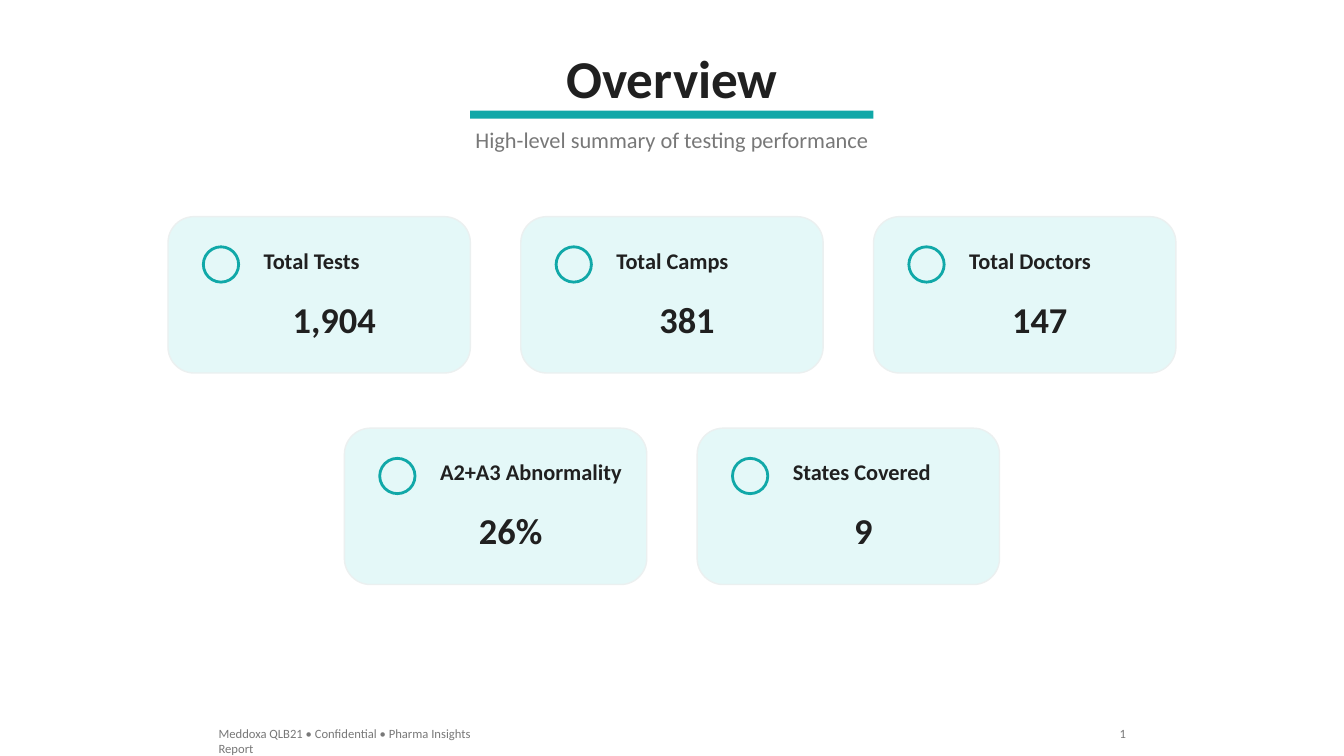
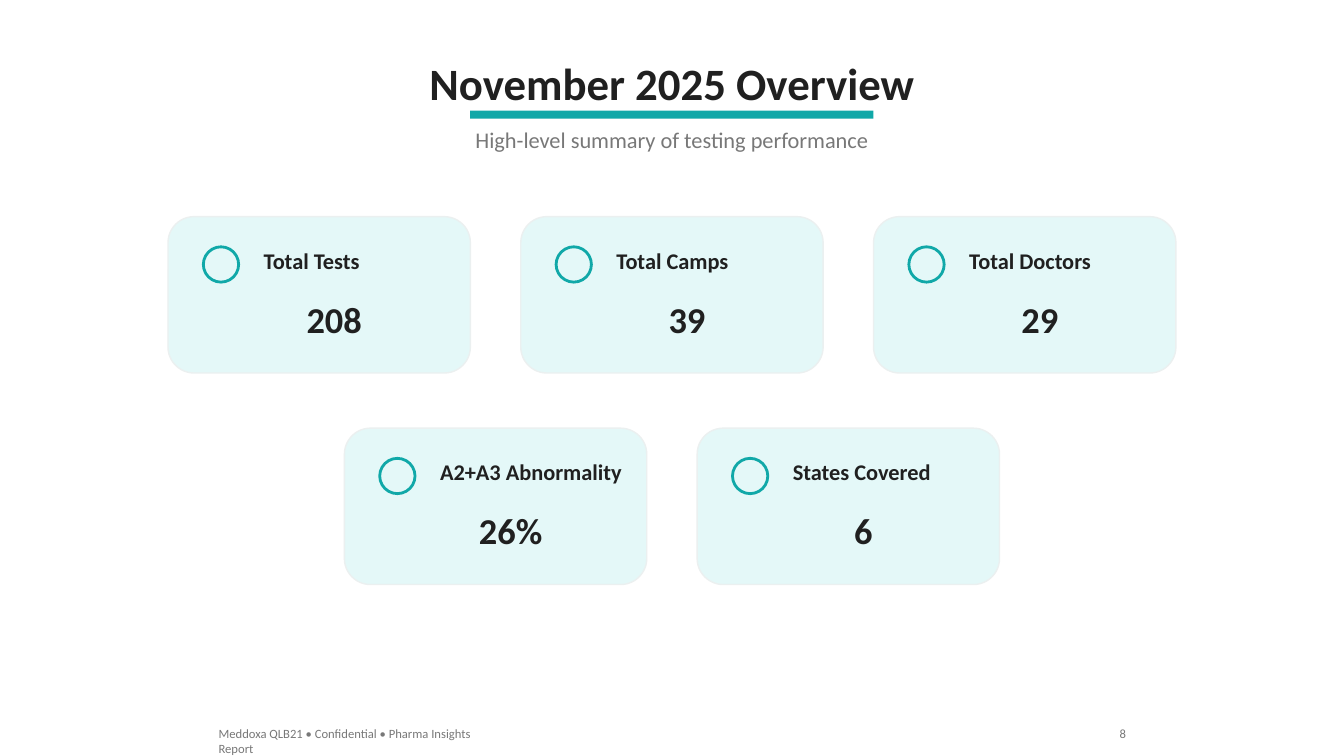
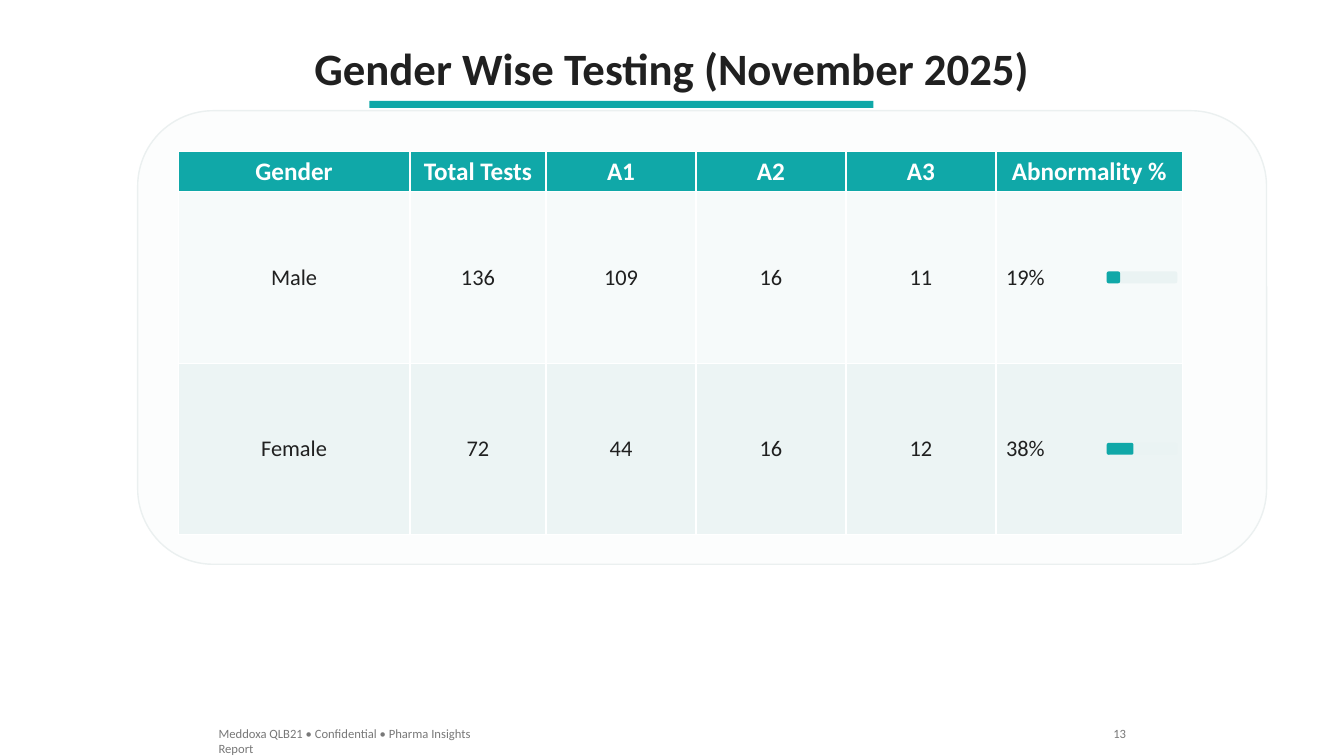
from dataclasses import dataclass
from typing import Any

from pptx import Presentation
from pptx.dml.color import RGBColor
from pptx.enum.shapes import MSO_SHAPE
from pptx.enum.text import MSO_ANCHOR, MSO_AUTO_SIZE, PP_ALIGN
from pptx.util import Cm, Pt

RECT, ROUND, OVAL = MSO_SHAPE.RECTANGLE, MSO_SHAPE.ROUNDED_RECTANGLE, MSO_SHAPE.OVAL
LEFT, CENTER, RIGHT = PP_ALIGN.LEFT, PP_ALIGN.CENTER, PP_ALIGN.RIGHT
MIDDLE, FIT_SHAPE = MSO_ANCHOR.MIDDLE, MSO_AUTO_SIZE.SHAPE_TO_FIT_TEXT

# Shared look
TEAL, INK, GREY, WHITE = "10A8A8", "202020", "787878", "FFFFFF"
CARD_FILL, PANEL_FILL, EDGE, TRACK = "E4F8F8", "FCFDFD", "EBF0F0", "EAF3F3"
ROW_FILLS = ("F6FAFA", "ECF4F4")
FONT = "Calibri"
FOOTER = "Meddoxa QLB21 • Confidential • Pharma Insights Report"
SUBTITLE = "High-level summary of testing performance"

# Text formats: font attributes plus a colour
COVER_TITLE = {"size": Pt(38), "bold": True, "color": INK}
TITLE = {"size": Pt(32), "bold": True, "color": INK}
SUB = {"size": Pt(16), "bold": False, "color": GREY}
LABEL = {"size": Pt(16), "bold": True, "color": INK}
VALUE = {"size": Pt(26), "bold": True, "color": INK}
SMALL = {"size": Pt(9), "bold": False, "color": GREY}
HEAD_CELL = {"size": Pt(18), "bold": True, "color": WHITE}
BODY_CELL = {"size": Pt(16), "bold": False, "color": INK}

# Measures in centimetres
SLIDE_W, SLIDE_H = 33.87, 19.05
CARD_W, CARD_H, CARD_GAP = 7.62, 3.94, 1.27
CARDS_TOP, CARD_PITCH, CARDS_PER_ROW = 5.46, 5.33, 3
ICON = 0.89
TABLE_LEFT, TABLE_TOP = 4.49, 3.81
COLUMN_WIDTHS = (5.84, 3.43, 3.78, 3.78, 3.78, 4.7)
HEAD_H, ROW_H = 1.02, 4.32
BAR_LEFT, BAR_W, BAR_H = 27.89, 1.78, 0.3
GLYPH_WIDTHS = {",": 0.24, "%": 0.69}


@dataclass(frozen=True)
class Box:
    left: float
    top: float
    width: float
    height: float

    def lengths(self) -> tuple[Cm, Cm, Cm, Cm]:
        return Cm(self.left), Cm(self.top), Cm(self.width), Cm(self.height)


@dataclass(frozen=True)
class Metric:
    label: str
    label_width: float


@dataclass(frozen=True)
class Heading:
    text: str
    top: float
    width: float
    height: float
    style: dict[str, Any]
    rule: Box


@dataclass(frozen=True)
class Overview:
    heading: Heading
    values: tuple[str, ...]
    page: int


@dataclass(frozen=True)
class GenderRow:
    gender: str
    total: int
    a1: int
    a2: int
    a3: int
    abnormality: int

    def cells(self) -> tuple[str, ...]:
        counts = (self.total, self.a1, self.a2, self.a3)
        return (self.gender, *map(str, counts), f"{self.abnormality}%")


METRICS = (
    Metric("Total Tests", 2.95),
    Metric("Total Camps", 3.38),
    Metric("Total Doctors", 3.63),
    Metric("A2+A3 Abnormality", 5.16),
    Metric("States Covered", 4.04),
)
OVERVIEW_RULE = Box(11.85, 2.79, 10.16, 0.2)
OVERVIEWS = (
    Overview(Heading("Overview", 1.02, 5.89, 1.88, COVER_TITLE, OVERVIEW_RULE),
             ("1,904", "381", "147", "26%", "9"), 1),
    Overview(Heading("November 2025 Overview", 1.27, 12.85, 1.63, TITLE, OVERVIEW_RULE),
             ("208", "39", "29", "26%", "6"), 8),
)
GENDER_HEADING = Heading("Gender Wise Testing (November 2025)", 0.89, 18.69, 1.63,
                         TITLE, Box(9.31, 2.54, 12.7, 0.18))
GENDER_COLUMNS = ("Gender", "Total Tests", "A1", "A2", "A3", "Abnormality %")
GENDER_ROWS = (
    GenderRow("Male", 136, 109, 16, 11, 19),
    GenderRow("Female", 72, 44, 16, 12, 38),
)
GENDER_PAGE = 13


def rgb(code: str) -> RGBColor:
    return RGBColor.from_string(code)


def write(frame: Any, text: str, style: dict[str, Any], align: Any) -> None:
    paragraph = frame.paragraphs[0]
    paragraph.alignment = align
    run = paragraph.add_run()
    run.text = text
    run.font.name = FONT
    for attribute, setting in style.items():
        if attribute == "color":
            run.font.color.rgb = rgb(setting)
        else:
            setattr(run.font, attribute, setting)


def add_text(slide: Any, box: Box, text: str, style: dict[str, Any],
             align: Any = LEFT) -> None:
    frame = slide.shapes.add_textbox(*box.lengths()).text_frame
    frame.word_wrap = False
    frame.auto_size = FIT_SHAPE
    write(frame, text, style, align)


def add_centered(slide: Any, middle: float, top: float, width: float, height: float,
                 text: str, style: dict[str, Any]) -> None:
    add_text(slide, Box(middle - width / 2, top, width, height), text, style, CENTER)


def add_block(slide: Any, kind: Any, box: Box, fill: str | None = None,
              line: str | None = None, weight: float = 1) -> None:
    block = slide.shapes.add_shape(kind, *box.lengths())
    block.shadow.inherit = False
    if fill:
        block.fill.solid()
        block.fill.fore_color.rgb = rgb(fill)
    else:
        block.fill.background()
    if line:
        block.line.color.rgb = rgb(line)
        block.line.width = Pt(weight)
    else:
        block.line.fill.background()


def start_slide(deck: Any, heading: Heading, page: int) -> Any:
    slide = deck.slides.add_slide(deck.slide_layouts[6])
    # Title and its rule
    add_block(slide, RECT, heading.rule, TEAL)
    add_centered(slide, SLIDE_W / 2, heading.top, heading.width, heading.height,
                 heading.text, heading.style)
    # Footer and page number
    add_text(slide, Box(5.26, 18.16, 7.75, 0.64), FOOTER, SMALL)
    number_w = 0.53 + 0.16 * len(str(page))
    add_text(slide, Box(28.63 - number_w, 18.16, number_w, 0.64), str(page), SMALL, RIGHT)
    return slide


def value_width(value: str) -> float:
    return 0.53 + sum(GLYPH_WIDTHS.get(glyph, 0.46) for glyph in value)


def add_card(slide: Any, left: float, top: float, metric: Metric, value: str) -> None:
    add_block(slide, ROUND, Box(left, top, CARD_W, CARD_H), CARD_FILL, EDGE)
    add_block(slide, OVAL, Box(left + 0.89, top + 0.76, ICON, ICON), line=TEAL, weight=2)
    add_text(slide, Box(left + 2.16, top + 0.64, metric.label_width, 0.94),
             metric.label, LABEL)
    add_centered(slide, left + 4.19, top + 1.9, value_width(value), 1.37, value, VALUE)


def add_overview(deck: Any, overview: Overview) -> None:
    slide = start_slide(deck, overview.heading, overview.page)
    add_centered(slide, SLIDE_W / 2, 3.05, 10.54, 0.94, SUBTITLE, SUB)
    # Each row of cards is centred on the slide
    cards = list(zip(METRICS, overview.values))
    for row, first in enumerate(range(0, len(cards), CARDS_PER_ROW)):
        row_cards = cards[first:first + CARDS_PER_ROW]
        pitch = CARD_W + CARD_GAP
        row_left = (SLIDE_W - len(row_cards) * pitch + CARD_GAP) / 2
        for column, (metric, value) in enumerate(row_cards):
            add_card(slide, row_left + column * pitch, CARDS_TOP + row * CARD_PITCH,
                     metric, value)


def add_gender_table(slide: Any) -> None:
    lines = [GENDER_COLUMNS, *(row.cells() for row in GENDER_ROWS)]
    heights = [HEAD_H] + [ROW_H] * len(GENDER_ROWS)
    area = Box(TABLE_LEFT, TABLE_TOP, sum(COLUMN_WIDTHS), sum(heights))
    table = slide.shapes.add_table(len(lines), len(GENDER_COLUMNS), *area.lengths()).table
    for column, width in zip(table.columns, COLUMN_WIDTHS):
        column.width = Cm(width)
    for r, (texts, height) in enumerate(zip(lines, heights)):
        table.rows[r].height = Cm(height)
        for c, text in enumerate(texts):
            cell = table.cell(r, c)
            cell.vertical_anchor = MIDDLE
            cell.fill.solid()
            cell.fill.fore_color.rgb = rgb(ROW_FILLS[(r - 1) % 2] if r else TEAL)
            beside_bar = r > 0 and c == len(texts) - 1
            write(cell.text_frame, text, BODY_CELL if r else HEAD_CELL,
                  LEFT if beside_bar else CENTER)


def add_gender(deck: Any) -> None:
    slide = start_slide(deck, GENDER_HEADING, GENDER_PAGE)
    add_block(slide, ROUND, Box(3.47, 2.79, 28.45, 11.43), PANEL_FILL, EDGE)
    add_gender_table(slide)
    # Abnormality bars, centred in their rows
    for index, row in enumerate(GENDER_ROWS):
        top = TABLE_TOP + HEAD_H + (index + 0.5) * ROW_H - BAR_H / 2
        for share, fill in ((1, TRACK), (row.abnormality / 100, TEAL)):
            add_block(slide, ROUND, Box(BAR_LEFT, top, BAR_W * share, BAR_H), fill)


def main() -> None:
    deck = Presentation()
    deck.slide_width, deck.slide_height = Cm(SLIDE_W), Cm(SLIDE_H)
    for overview in OVERVIEWS:
        add_overview(deck, overview)
    add_gender(deck)
    deck.save("out.pptx")


if __name__ == "__main__":
    main()
